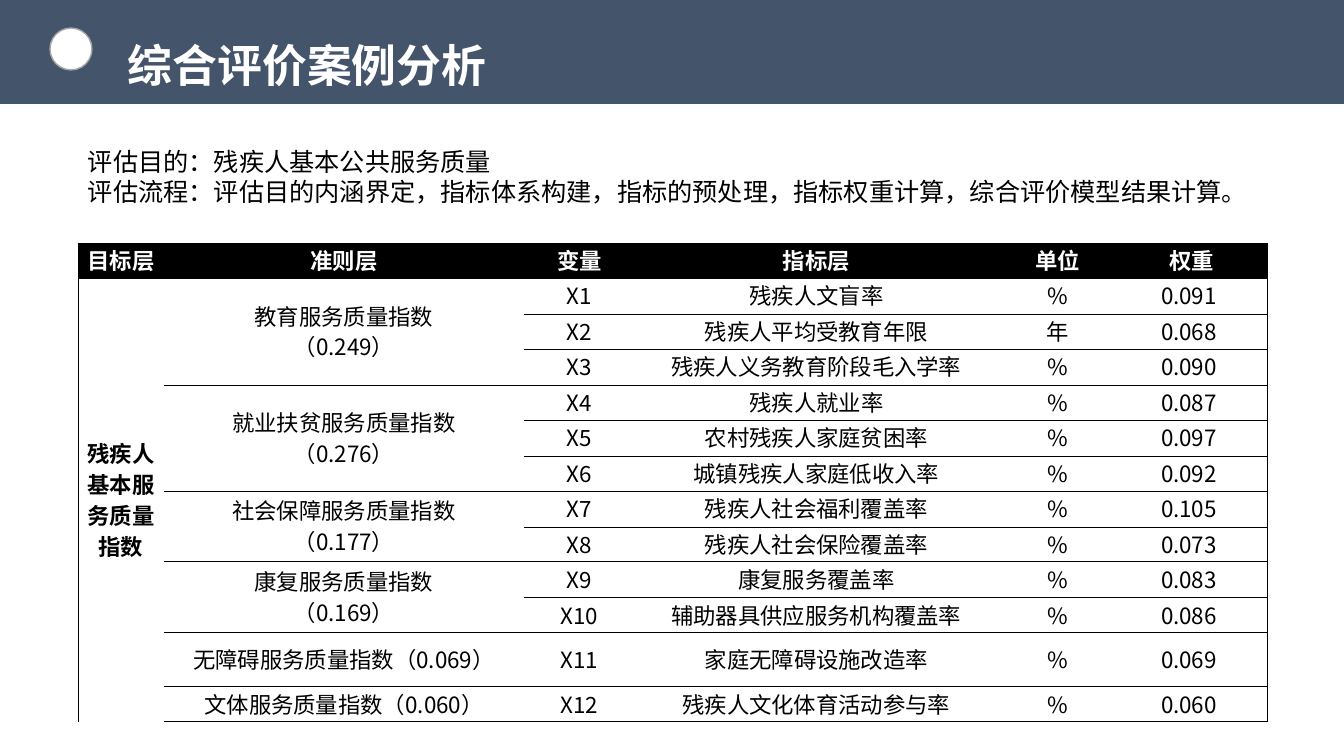
from dataclasses import dataclass

from lxml import etree
from pptx import Presentation
from pptx.dml.color import RGBColor
from pptx.enum.shapes import MSO_SHAPE
from pptx.enum.text import MSO_ANCHOR, PP_ALIGN
from pptx.oxml.ns import qn
from pptx.util import Pt

RECTANGLE, OVAL = MSO_SHAPE.RECTANGLE, MSO_SHAPE.OVAL
LEFT, CENTER = PP_ALIGN.LEFT, PP_ALIGN.CENTER
MIDDLE = MSO_ANCHOR.MIDDLE
EMU_PER_PX = 914400 / 100.8
NO_STYLE = "{2D5ABB26-0587-4C30-8999-92F81FD0307C}"


@dataclass(frozen=True)
class Theme:
    font: str = "Noto Sans CJK SC"
    band: str = "44546A"
    ring: str = "A5A5A5"
    white: str = "FFFFFF"
    black: str = "000000"
    title_size: int = 32
    title_spacing: int = 62
    body_size: int = 18
    body_spacing: float = 21.6
    table_size: int = 16
    table_spacing: int = 22
    rule_width: float = 0.5


THEME = Theme()
HEADERS = ["目标层", "准则层", "变量", "指标层", "单位", "权重"]
TARGET = "残疾人基本服务质量指数"
CRITERIA = [
    ("教育服务质量指数\n（0.249）", [
        ("残疾人文盲率", "%", "0.091"),
        ("残疾人平均受教育年限", "年", "0.068"),
        ("残疾人义务教育阶段毛入学率", "%", "0.090")]),
    ("就业扶贫服务质量指数\n（0.276）", [
        ("残疾人就业率", "%", "0.087"),
        ("农村残疾人家庭贫困率", "%", "0.097"),
        ("城镇残疾人家庭低收入率", "%", "0.092")]),
    ("社会保障服务质量指数\n（0.177）", [
        ("残疾人社会福利覆盖率", "%", "0.105"),
        ("残疾人社会保险覆盖率", "%", "0.073")]),
    ("康复服务质量指数\n（0.169）", [
        ("康复服务覆盖率", "%", "0.083"),
        ("辅助器具供应服务机构覆盖率", "%", "0.086")]),
    ("无障碍服务质量指数（0.069）", [("家庭无障碍设施改造率", "%", "0.069")]),
    ("文体服务质量指数（0.060）", [("残疾人文化体育活动参与率", "%", "0.060")]),
]
COLUMN_WIDTHS = [86, 360, 111, 363, 119, 150]
ROW_HEIGHTS = [35 + row % 2 for row in range(11)] + [54, 35]


def px(length):
    return round(length * EMU_PER_PX)


def color(code):
    return RGBColor.from_string(code)


def write(frame, text, size, spacing, ink=THEME.black, bold=False, align=LEFT):
    frame.word_wrap = True
    for index, line in enumerate(text.split("\n")):
        paragraph = frame.add_paragraph() if index else frame.paragraphs[0]
        paragraph.alignment = align
        paragraph.line_spacing = Pt(spacing)
        run = paragraph.add_run()
        run.text = line
        run.font.size = Pt(size)
        run.font.bold = bold
        run.font.name = THEME.font
        run.font.color.rgb = color(ink)
        east_asian = etree.SubElement(run.font._element, qn("a:ea"))
        east_asian.set("typeface", THEME.font)


def add_text(slide, box, text, **style):
    frame = slide.shapes.add_textbox(*map(px, box)).text_frame
    write(frame, text, **style)


def add_plain_shape(slide, kind, box, fill, line=None):
    shape = slide.shapes.add_shape(kind, *map(px, box))
    shape.shadow.inherit = False
    shape.fill.solid()
    shape.fill.fore_color.rgb = color(fill)
    if line:
        shape.line.color.rgb = color(line)
        shape.line.width = Pt(1)
    else:
        shape.line.fill.background()


def set_borders(cell, sides):
    properties = cell._tc.get_or_add_tcPr()
    for side in "LRTB":
        border = etree.SubElement(properties, qn(f"a:ln{side}"))
        if side in sides:
            border.set("w", str(Pt(THEME.rule_width)))
            fill = etree.SubElement(border, qn("a:solidFill"))
            etree.SubElement(fill, qn("a:srgbClr")).set("val", THEME.black)
        else:
            border.set("w", "0")
            etree.SubElement(border, qn("a:noFill"))


def write_cell(cell, text, **style):
    write(cell.text_frame, text, THEME.table_size, THEME.table_spacing,
          align=CENTER, **style)


def fill_block(table, first, last, column, text, **style):
    for row in range(first, last + 1):
        cell = table.cell(row, column)
        sides = "T" * (row == first) + "B" * (row == last)
        sides += "L" * (column == 0)
        sides += "R" * (column == len(HEADERS) - 1)
        set_borders(cell, sides)
        cell.fill.background()
        cell.vertical_anchor = MIDDLE
        cell.margin_left = cell.margin_right = px(1)
        cell.margin_top = cell.margin_bottom = px(1)
    block = table.cell(first, column)
    if last > first:
        block.merge(table.cell(last, column))
    write_cell(block, text, **style)
    return block


def add_header(slide, box):
    left, top, width, height = box
    add_plain_shape(slide, RECTANGLE, box, THEME.band)
    add_plain_shape(slide, OVAL, (left + 50, top + 28, 42, 42),
                    THEME.white, THEME.ring)
    add_text(slide, (left + 118, top, 554, 82), "综合评价案例分析",
             size=THEME.title_size, spacing=THEME.title_spacing,
             ink=THEME.white, bold=True)


def add_introduction(slide, box):
    add_text(slide, box,
             "评估目的：残疾人基本公共服务质量\n"
             "评估流程：评估目的内涵界定，指标体系构建，指标的预处理，"
             "指标权重计算，综合评价模型结果计算。",
             size=THEME.body_size, spacing=THEME.body_spacing)


def add_indicator_table(slide, box):
    table = slide.shapes.add_table(
        len(ROW_HEIGHTS), len(HEADERS), *map(px, box)).table
    table.horz_banding = False
    table._tbl.tblPr.find(qn("a:tableStyleId")).text = NO_STYLE
    for column, width in zip(table.columns, COLUMN_WIDTHS):
        column.width = px(width)
    for row, height in zip(table.rows, ROW_HEIGHTS):
        row.height = px(height)

    for column, header in enumerate(HEADERS):
        cell = fill_block(table, 0, 0, column, header,
                          ink=THEME.white, bold=True)
        cell.fill.solid()
        cell.fill.fore_color.rgb = color(THEME.black)

    target = fill_block(table, 1, len(ROW_HEIGHTS) - 1, 0, TARGET, bold=True)
    target._tc.get_or_add_tcPr().set("vert", "wordArtVert")

    row = 1
    for criterion, indicators in CRITERIA:
        fill_block(table, row, row + len(indicators) - 1, 1, criterion)
        for indicator in indicators:
            for column, text in enumerate((f"X{row}", *indicator), start=2):
                cell = fill_block(table, row, row, column, text)
            cell.margin_right = px(7)
            row += 1


def main():
    presentation = Presentation()
    presentation.slide_width = px(1344)
    presentation.slide_height = px(756)
    slide = presentation.slides.add_slide(presentation.slide_layouts[6])
    add_header(slide, (0, 0, 1344, 104))
    add_indicator_table(
        slide, (78, 243, sum(COLUMN_WIDTHS), sum(ROW_HEIGHTS)))
    add_introduction(slide, (78, 141, 1189, 72))
    presentation.save("out.pptx")


if __name__ == "__main__":
    main()
